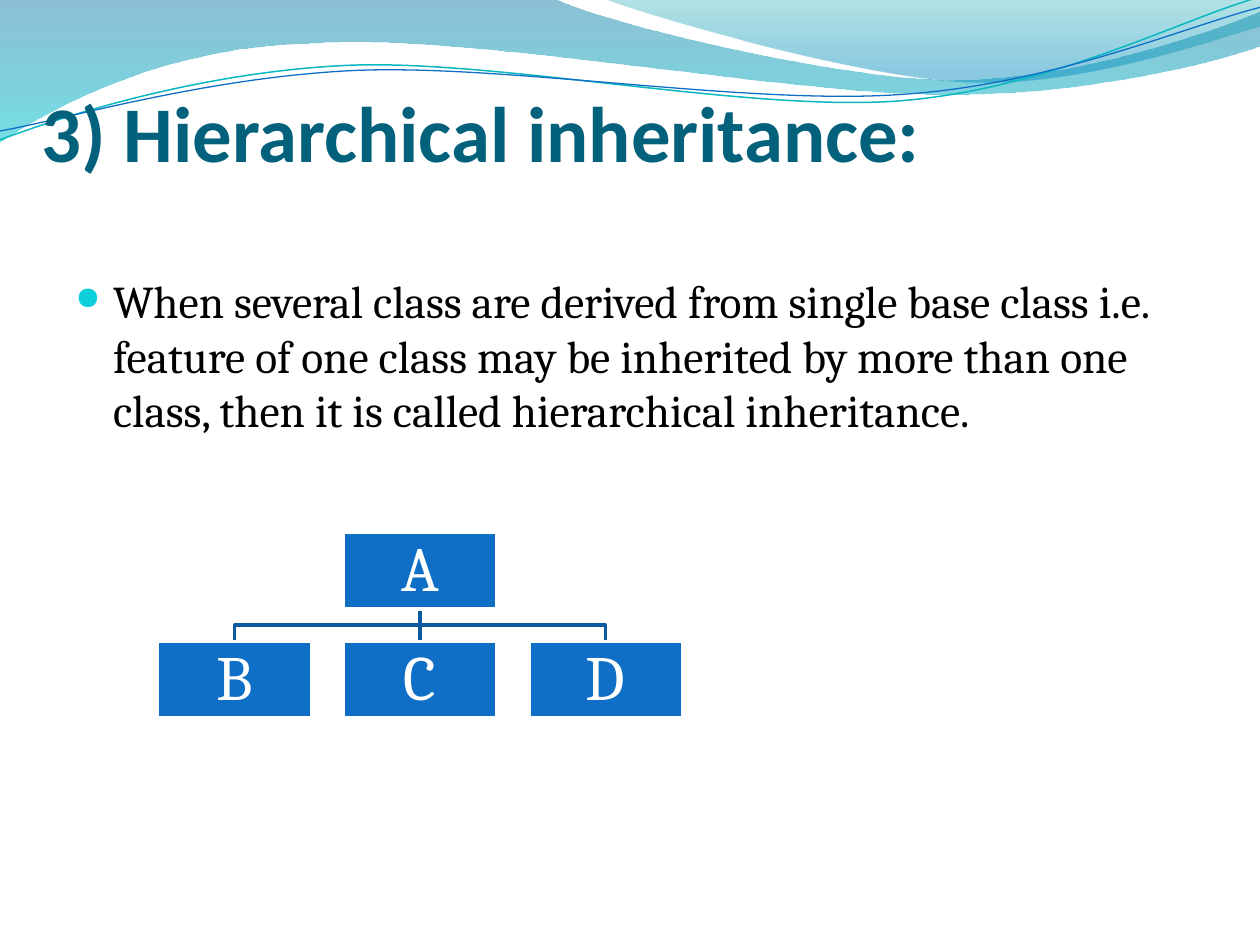
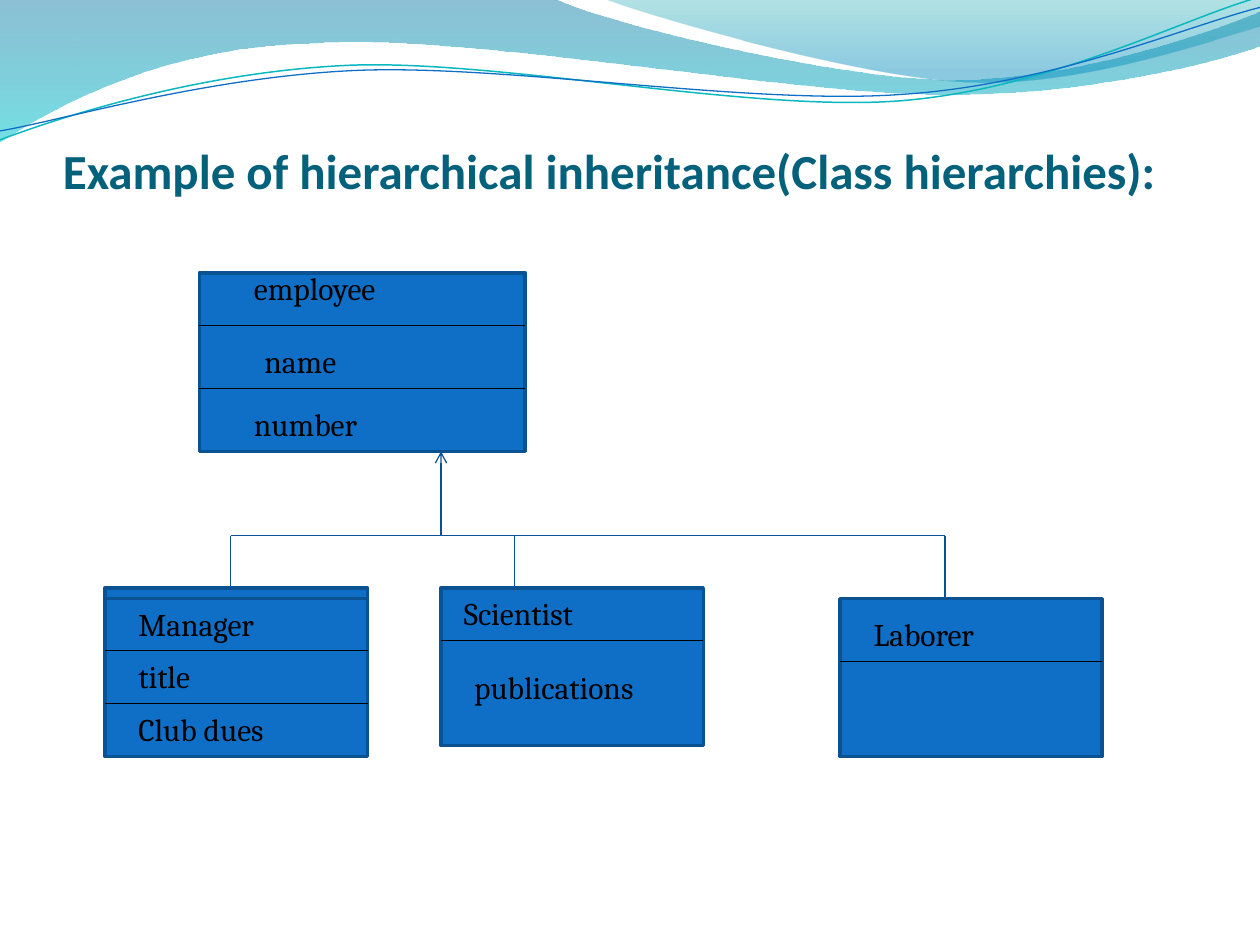
"""Two slides on hierarchical inheritance, under a shared wave header."""
from dataclasses import dataclass

from lxml.etree import SubElement
from pptx import Presentation
from pptx.dml.color import RGBColor
from pptx.enum.shapes import MSO_CONNECTOR as Link, MSO_SHAPE as Preset
from pptx.enum.text import MSO_ANCHOR as Anchor, MSO_AUTO_SIZE as AutoSize, PP_ALIGN as Align
from pptx.oxml.ns import qn
from pptx.slide import Slide
from pptx.util import Cm, Pt

HEADING_FONT, BODY_FONT = "Calibri", "Cambria"
TITLE, INK, PAPER = "04617B", "000000", "FFFFFF"
BLUE, BORDER, ARROW, BRANCH = "0F6FC6", "0B5292", "095295", "0C599F"
BULLET = "0BD0D9"

Point = tuple[float, float]
Segments = tuple[tuple[Point, ...], ...]


@dataclass(frozen=True)
class Band:
    """Gradient wave: one-point segments are straight, three-point ones curved."""
    start: Point
    segments: Segments
    stops: tuple[tuple[float, str, int], ...]


@dataclass(frozen=True)
class Ripple:
    """Thin curved line of the header, tilted when drawn."""
    start: Point
    segments: Segments
    colour: str
    weight: float


@dataclass(frozen=True)
class Label:
    """Member text and its top left corner."""
    text: str
    left: float
    top: float


@dataclass(frozen=True)
class ClassBox:
    """Class rectangle with the heights of its dividers and its labels."""
    left: float
    top: float
    width: float
    height: float
    dividers: tuple[float, ...] = ()
    labels: tuple[Label, ...] = ()
    divider_colour: str = INK


RIPPLE_TILT = 357.3
BANDS = (
    Band((0, 0), (
        ((11.18, -0.03),),
        ((12.09, 0.43), (16.87, 1.6), (19.25, 1.6)),
        ((21.67, 1.6), (24.33, 0.66), (25.4, 0.23)),
        ((25.43, 0.91),),
        ((24.97, 1.12), (22.1, 1.93), (18.95, 1.9)),
        ((15.8, 1.9), (9.7, 0.71), (6.53, 0.86)),
        ((3.28, 0.91), (1.17, 2.11), (-0.03, 2.87)),
    ), ((0, "0074A1", 45), (1, "00C6CF", 55))),
    Band((12.17, -0.03), (
        ((12.93, 0.28), (17.32, 1.57), (19.53, 1.65)),
        ((21.74, 1.75), (24.41, 0.81), (25.4, 0.53)),
        ((25.4, 0),),
    ), ((0, "00A1A9", 30), (0.8, "008BBF", 45))),
)
RIPPLES = (
    Ripple((-0.05, 2.22), (
        ((1.19, 1.82), (4.02, 1.04), (7.05, 1.05)),
        ((10.05, 1.07), (15.02, 2.37), (18.08, 2.29)),
        ((21.13, 2.2), (23.86, 0.91), (25.41, 0.55)),
    ), "0AB8BF", 0.85),
    Ripple((-0.04, 2.04), (
        ((1.16, 1.9), (4.17, 1.15), (7.2, 1.16)),
        ((10.25, 1.18), (15.13, 2.25), (18.19, 2.16)),
        ((21.21, 2.1), (23.93, 1.06), (25.45, 0.75)),
    ), BLUE, 0.75),
)

EMPLOYEE = ClassBox(4.02, 5.5, 6.57, 3.6, (6.56, 7.83), (
    Label("employee", 4.87, 5.29), Label("name", 5.08, 6.77), Label("number", 4.87, 8.04)))
SUBCLASSES = (
    ClassBox(8.89, 11.85, 5.29, 3.18, (12.91,), (
        Label("Scientist", 9.1, 11.85), Label("publications", 9.31, 13.34))),
    ClassBox(2.12, 11.85, 5.29, 3.18, (12.91,), divider_colour=ARROW),
    ClassBox(16.93, 12.07, 5.29, 3.18, (13.34,), (Label("Laborer", 17.36, 12.28),)),
    ClassBox(2.12, 12.07, 5.29, 3.18, (13.12, 14.18), (
        Label("Manager", 2.54, 12.07), Label("title", 2.54, 13.12),
        Label("Club dues", 2.54, 14.18))),
)


def rgb(colour: str) -> RGBColor:
    """Turn a hex string into a colour."""
    return RGBColor.from_string(colour)


def add_outline(slide: Slide, start: Point, segments: Segments, close: bool = False):
    """Add an unfilled freeform of straight and cubic segments."""
    builder = slide.shapes.build_freeform(*map(Cm, start))
    corners = [(Cm(x), Cm(y)) for segment in segments for x, y in segment]
    builder.add_line_segments(corners, close=close)
    outline = builder.convert_to_shape()
    outline.shadow.inherit = False
    outline.fill.background()
    steps = iter(outline.element.xpath(".//a:path/a:lnTo"))
    for segment in segments:
        first, *others = [next(steps) for _ in segment]
        if others:
            first.tag = qn("a:cubicBezTo")
        for step in others:
            first.append(step[0])
            step.getparent().remove(step)
    return outline


def set_stroke(line, colour: str, weight: float) -> None:
    """Colour a line and set its weight in points."""
    line.color.rgb = rgb(colour)
    line.width = Pt(weight)


def add_header(slide: Slide) -> None:
    """Draw the wave header."""
    for band in BANDS:
        wave = add_outline(slide, band.start, band.segments, close=True)
        wave.line.fill.background()
        wave.fill.gradient()
        wave.fill.gradient_angle = 270
        for stop, (position, colour, _) in zip(wave.fill.gradient_stops, band.stops):
            stop.position = position
            stop.color.rgb = rgb(colour)
        for tint, (*_, opacity) in zip(wave.element.xpath(".//a:gs/a:srgbClr"), band.stops):
            SubElement(tint, qn("a:alpha"), val=str(opacity * 1000))
    for ripple in RIPPLES:
        curve = add_outline(slide, ripple.start, ripple.segments)
        curve.rotation = RIPPLE_TILT
        set_stroke(curve.line, ripple.colour, ripple.weight)


def add_line(slide: Slide, start: Point, end: Point, colour: str, arrow: bool = False) -> None:
    """Draw a straight connector, with an arrowhead at its end if asked."""
    link = slide.shapes.add_connector(Link.STRAIGHT, *map(Cm, (*start, *end)))
    set_stroke(link.line, colour, 0.75)
    properties = link.element.spPr
    if arrow:
        SubElement(properties.get_or_add_ln(), qn("a:tailEnd"), type="arrow")
    SubElement(properties, qn("a:effectLst"))


def add_text(slide: Slide, text: str, left: float, top: float, width: float, height: float,
             size: float, font: str = BODY_FONT, colour: str = INK):
    """Add a wrapping text box."""
    frame = slide.shapes.add_textbox(*map(Cm, (left, top, width, height))).text_frame
    frame.word_wrap = True
    write(frame, text, size, font, colour)
    return frame


def write(frame, text: str, size: float, font: str, colour: str) -> None:
    """Put one formatted paragraph in a frame."""
    frame.text = text
    style = frame.paragraphs[0].runs[0].font
    style.name, style.size, style.color.rgb = font, Pt(size), rgb(colour)


def add_title(slide: Slide, text: str, left: float, top: float, width: float,
              height: float, size: int) -> None:
    """Add the bold title, standing on the bottom of its box."""
    frame = add_text(slide, text, left, top, width, height, size, HEADING_FONT, TITLE)
    frame.vertical_anchor = Anchor.BOTTOM
    frame.margin_left = frame.margin_right = frame.margin_bottom = 0
    paragraph = frame.paragraphs[0]
    paragraph.runs[0].font.bold = True
    ends = [SubElement(line_break, qn("a:rPr")) for line_break in paragraph._p.xpath("a:br")]
    ends.append(SubElement(paragraph._p, qn("a:endParaRPr")))
    for end in ends:
        end.set("sz", str(size * 100))
        SubElement(end, qn("a:latin"), typeface=HEADING_FONT)


def add_box(slide: Slide, left: float, top: float, width: float, height: float, border: str):
    """Add a blue rectangle."""
    box = slide.shapes.add_shape(Preset.RECTANGLE, *map(Cm, (left, top, width, height)))
    box.shadow.inherit = False
    box.fill.solid()
    box.fill.fore_color.rgb = rgb(BLUE)
    set_stroke(box.line, border, 2)
    return box


def add_definition(slide: Slide, text: str) -> None:
    """Add the bulleted definition."""
    paragraph = add_text(slide, text, 1.27, 5.38, 22.86, 12.19, 26).paragraphs[0]
    paragraph.space_before = Pt(5.2)
    properties = paragraph._p.get_or_add_pPr()
    properties.set("marL", str(Cm(0.76)))
    properties.set("indent", str(Cm(-0.76)))
    SubElement(SubElement(properties, qn("a:buClr")), qn("a:srgbClr"), val=BULLET)
    SubElement(properties, qn("a:buSzPct"), val="70000")
    SubElement(properties, qn("a:buChar"), char="●")


def widen(trunk, margin: float) -> None:
    """Give an upright outline room on both sides."""
    trunk.left -= Cm(margin)
    trunk.width = Cm(2 * margin)
    for route in trunk.element.xpath(".//a:path"):
        route.set("w", str(Cm(2 * margin)))
    for corner in trunk.element.xpath(".//a:pt"):
        corner.set("x", str(Cm(margin)))


def add_tree(slide: Slide, root: str, children: str) -> None:
    """Draw the root class, centred above its children."""
    left, pitch, width, height = 3.18, 3.74, 3.1, 1.55
    root_top, child_top = 10.73, 12.93
    root_left = left + pitch * (len(children) - 1) / 2
    trunk, fork = root_left + width / 2, root_top + height
    bar = (fork + child_top) / 2
    child_lefts = [left + index * pitch for index in range(len(children))]
    for child_left in reversed(child_lefts):
        centre = child_left + width / 2
        upright = abs(centre - trunk) < 0.01
        bends = () if upright else (((trunk, bar),), ((centre, bar),))
        branch = add_outline(slide, (trunk, fork), (*bends, ((centre, child_top),)))
        set_stroke(branch.line, BRANCH, 2)
        if upright:
            widen(branch, 0.13)
    nodes = [(root, root_left, root_top)]
    nodes += [(child, child_left, child_top) for child, child_left in zip(children, child_lefts)]
    for name, node_left, node_top in nodes:
        frame = add_box(slide, node_left, node_top, width, height, PAPER).text_frame
        frame.margin_left = frame.margin_right = Cm(0.08)
        frame.margin_top = frame.margin_bottom = Cm(0.08)
        frame.vertical_anchor = Anchor.MIDDLE
        write(frame, name, 36, BODY_FONT, PAPER)
        frame.paragraphs[0].alignment = Align.CENTER
        frame.paragraphs[0].line_spacing = 0.9


def add_class(slide: Slide, item: ClassBox) -> None:
    """Draw a class with its dividers and members."""
    add_box(slide, item.left, item.top, item.width, item.height, BORDER)
    for level in item.dividers:
        add_line(slide, (item.left, level), (item.left + item.width, level), item.divider_colour)
    for label in item.labels:
        frame = add_text(slide, label.text, label.left, label.top, 4.24, 1.02, 18)
        frame.auto_size = AutoSize.SHAPE_TO_FIT_TEXT


def add_hierarchy(slide: Slide) -> None:
    """Draw the employee classes and the arrow up to their base class."""
    for item in (EMPLOYEE, *SUBCLASSES):
        add_class(slide, item)
    bar, manager, scientist, laborer, stem = 10.8, 4.65, 10.37, 19.05, 8.89
    for centre, top in ((manager, 11.85), (scientist, 11.85), (laborer, 12.07)):
        add_line(slide, (centre, bar), (centre, top), ARROW)
    add_line(slide, (manager, bar), (laborer, bar), ARROW)
    add_line(slide, (stem, bar), (stem, EMPLOYEE.top + EMPLOYEE.height), ARROW, arrow=True)


def main() -> None:
    """Build and save the slides."""
    deck = Presentation()
    deck.slide_width, deck.slide_height = Cm(25.4), Cm(19.05)
    definition, example = (deck.slides.add_slide(deck.slide_layouts[6]) for _ in range(2))
    for slide in (definition, example):
        add_header(slide)
    add_title(definition, "3) Hierarchical inheritance:\v", 0.84, 3.4, 23.7, 2.11, 45)
    add_definition(definition, "When several class are derived from single base class i.e. "
                   "feature of one class may be inherited by more than one class, "
                   "then it is called hierarchical inheritance.")
    add_tree(definition, "A", "BCD")
    add_title(example, "Example of hierarchical inheritance(Class hierarchies):",
              1.27, 1.96, 22.86, 2.06, 28)
    add_hierarchy(example)
    deck.save("out.pptx")


if __name__ == "__main__":
    main()
